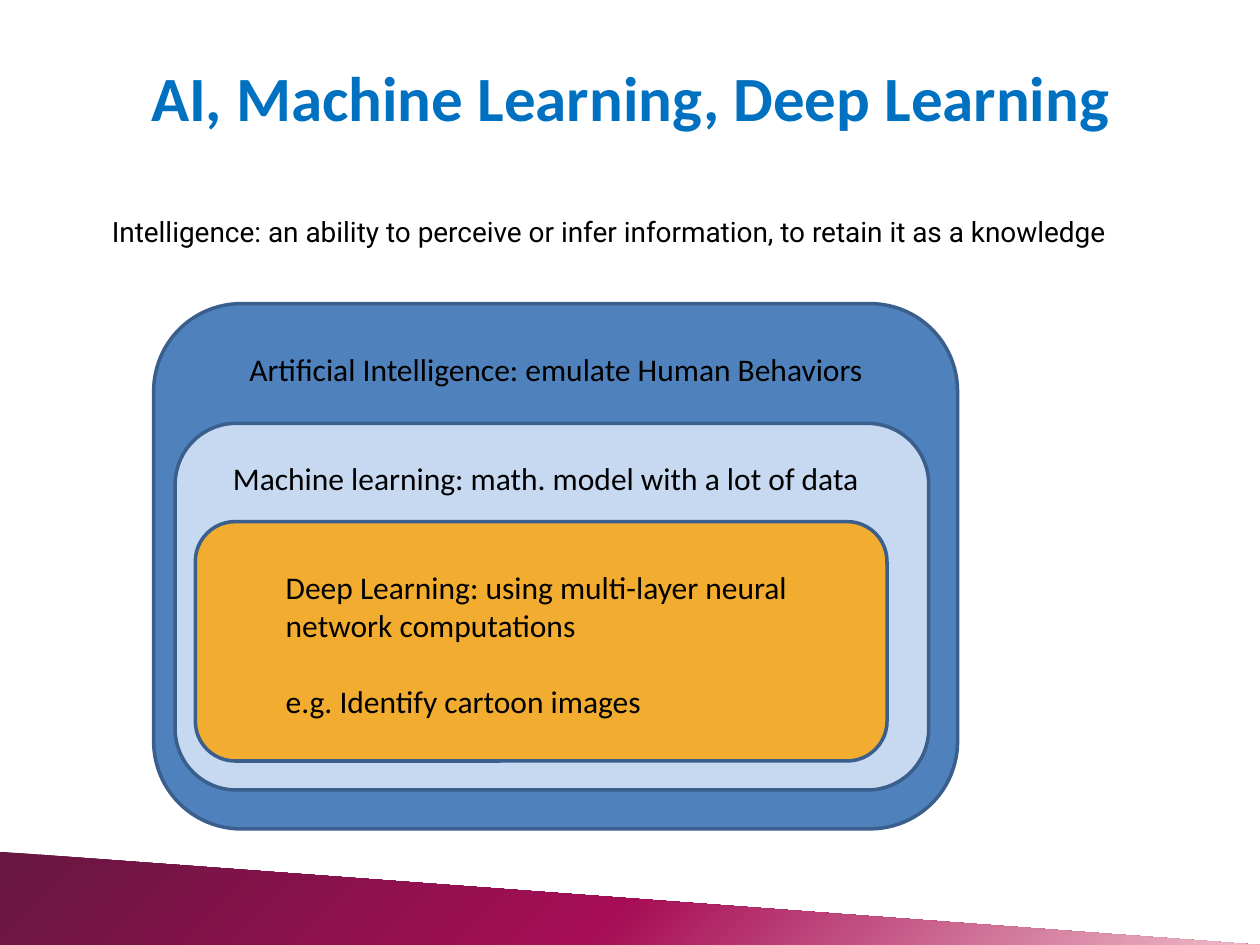
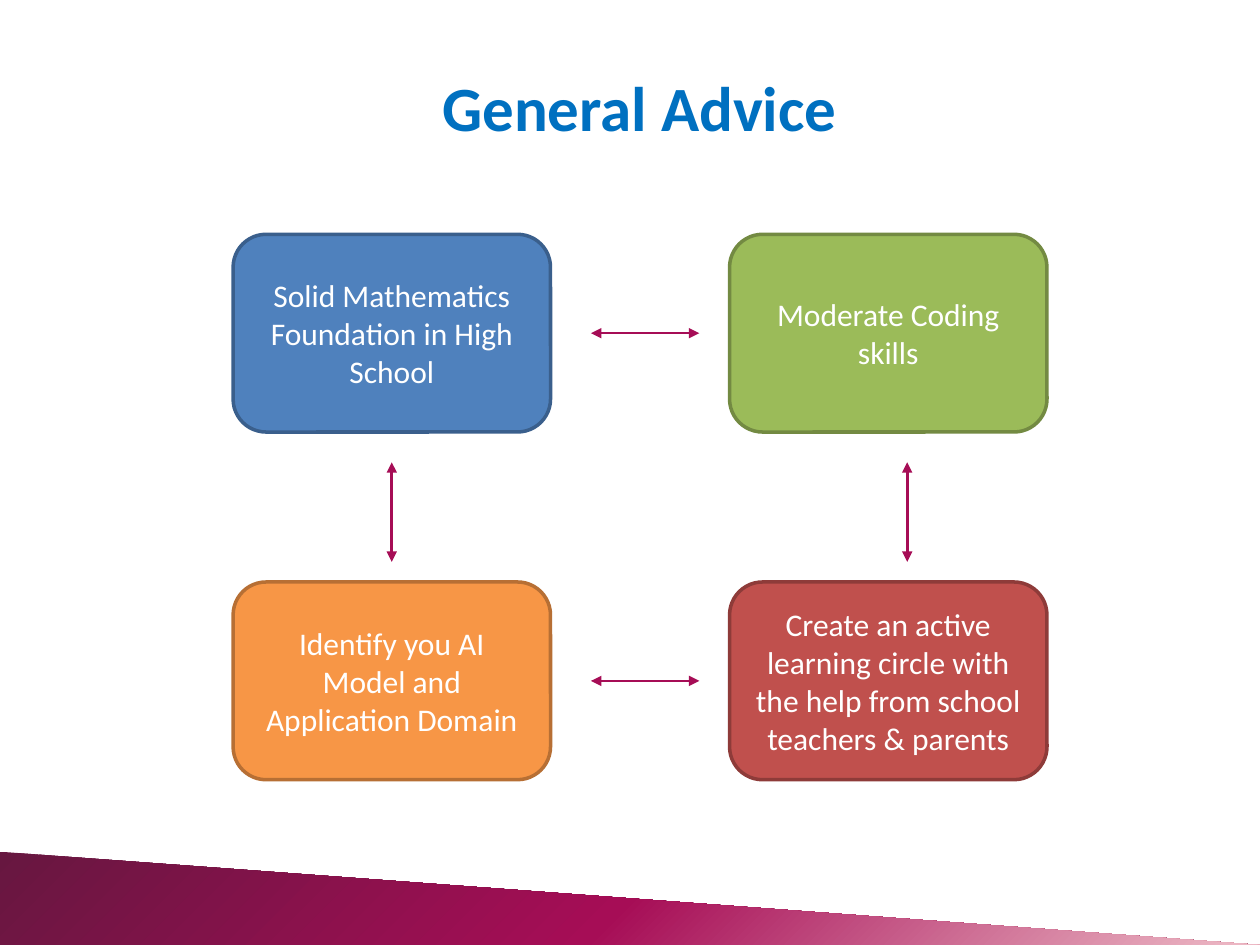
from copy import deepcopy

from lxml import etree
from pptx import Presentation
from pptx.dml.color import RGBColor
from pptx.enum.shapes import MSO_CONNECTOR, MSO_SHAPE
from pptx.enum.text import MSO_ANCHOR, PP_ALIGN
from pptx.oxml.ns import qn
from pptx.util import Pt

ROUND, WEDGE = MSO_SHAPE.ROUNDED_RECTANGLE, MSO_SHAPE.RIGHT_TRIANGLE
STRAIGHT = MSO_CONNECTOR.STRAIGHT
TOP, MIDDLE = MSO_ANCHOR.TOP, MSO_ANCHOR.MIDDLE
LEFT, CENTER = PP_ALIGN.LEFT, PP_ALIGN.CENTER
WIDE, HIGH = 720, 540
FONT = "Calibri"
BLACK, WHITE, TITLE = "000000", "FFFFFF", "0070C0"
BLUE, NAVY = "4F81BD", "3A5F8C"
BAND = ["671740", "A60D56", "EEBCC7"]


def paint(target, code):
    """Give a colour format its hex colour."""
    target.rgb = RGBColor.from_string(code)


def write(frame, lines, size=18, color=BLACK, font=FONT, bold=False,
          align=LEFT, anchor=TOP, gap=0):
    """Fill a text frame, one paragraph a line."""
    frame.word_wrap = True
    frame.vertical_anchor = anchor
    for i, line in enumerate(lines):
        para = frame.add_paragraph() if i else frame.paragraphs[0]
        para.alignment = align
        if i and gap:
            para.space_before = Pt(gap)
        run = para.add_run()
        run.text = line
        run.font.name, run.font.size, run.font.bold = font, Pt(size), bold
        paint(run.font.color, color)


def add_text(slide, area, lines, **style):
    """Add a text box and return its frame."""
    frame = slide.shapes.add_textbox(*map(Pt, area)).text_frame
    write(frame, lines, **style)
    return frame


def add_box(slide, area, fill, edge, lines=()):
    """Add an outlined rounded box with centred text."""
    box = slide.shapes.add_shape(ROUND, *map(Pt, area))
    box.shadow.inherit = False
    box.fill.solid()
    paint(box.fill.fore_color, fill)
    paint(box.line.color, edge)
    box.line.width = Pt(2)
    write(box.text_frame, lines, color=WHITE, align=CENTER, anchor=MIDDLE)


def add_arrow(slide, start, end):
    """Add a line with an arrowhead at both ends."""
    line = slide.shapes.add_connector(STRAIGHT, *map(Pt, (*start, *end)))
    paint(line.line.color, BAND[1])
    line.line.width = Pt(1.5)
    stroke = line.line._get_or_add_ln()
    for tag in ("a:headEnd", "a:tailEnd"):
        etree.SubElement(stroke, qn(tag)).set("type", "triangle")
    etree.SubElement(line._element.spPr, qn("a:effectLst"))


def add_band(slide):
    """Add the sloping gradient band at the foot."""
    band = slide.shapes.add_shape(WEDGE, *map(Pt, (0, 486.7, WIDE, 53.3)))
    band.shadow.inherit = False
    band.line.fill.background()
    band.fill.gradient()
    band.fill.gradient_angle = 315
    stops = band._element.spPr.find(".//" + qn("a:gsLst"))
    stops.insert(1, deepcopy(stops[0]))
    for i, (stop, code) in enumerate(zip(band.fill.gradient_stops, BAND)):
        stop.position = i / 2
        paint(stop.color, code)


def add_slide(deck, title, area):
    """Add a blank slide with the band and a title."""
    slide = deck.slides.add_slide(deck.slide_layouts[6])
    add_band(slide)
    add_text(slide, area, [title], size=36, color=TITLE, bold=True,
             align=CENTER, anchor=MIDDLE)
    return slide


def add_fields(deck):
    """Build the slide of nested fields of AI."""
    slide = add_slide(deck, "AI, Machine Learning, Deep Learning",
                      (76.3, 25.9, 568.1, 58.3))
    frame = add_text(slide, (48.2, 105.8, 647.3, 213.1),
                     ["Intelligence: an ability to perceive or infer "
                      "information, to retain it as a knowledge"],
                     size=16, font="Roboto")
    frame.margin_top = frame.margin_bottom = Pt(7.2)
    para = frame.paragraphs[0]
    para.line_spacing = 1.5
    para._p.get_or_add_pPr().set("marL", str(Pt(8.6)))

    for area, fill in [((87.8, 173.5, 459.4, 300.2), BLUE),
                       ((100.1, 241.9, 430.6, 209.5), "C6D9F1"),
                       ((111.6, 298.1, 395.3, 136.8), "F2AC30")]:
        add_box(slide, area, fill, NAVY)

    for area, lines in [
            ((135.4, 196.6, 372.2, 28.8),
             ["Artificial Intelligence: emulate Human Behaviors"]),
            ((126, 258.5, 383.8, 28.8),
             ["Machine learning: math. model with a lot of data"]),
            ((156.2, 321.1, 323.3, 94.3),
             ["Deep Learning: using multi-layer neural network computations",
              "e.g. Identify cartoon images"])]:
        add_text(slide, area, lines, gap=22)


def add_advice(deck):
    """Build the slide of four linked pieces of advice."""
    slide = add_slide(deck, "General Advice", (25.2, 31.7, 680.4, 58.3))
    left, top, width, height = 133.2, 133.9, 181.4, 113
    across, down = 283.7, 198.7
    tips = [
        (BLUE, NAVY, ["Solid Mathematics", "Foundation in High School"]),
        ("9BBB59", "738A42", ["Moderate Coding skills"]),
        ("F79646", "B76F34", ["Identify you AI Model and Application Domain"]),
        ("C0504D", "8E3B39", ["Create an active learning circle with the help "
                              "from school teachers & parents"])]
    for i, (fill, edge, lines) in enumerate(tips):
        row, col = divmod(i, 2)
        area = (left + col * across, top + row * down, width, height)
        add_box(slide, area, fill, edge, lines)
    for row in range(2):
        y = top + height / 2 + row * down
        add_arrow(slide, (337.7, y), (399.6, y))
    for x in (518.4, left + width / 2):
        add_arrow(slide, (x, 264.2), (x, 321.1))


def main():
    """Build and save the deck."""
    deck = Presentation()
    deck.slide_width, deck.slide_height = Pt(WIDE), Pt(HIGH)
    add_fields(deck)
    add_advice(deck)
    deck.save("out.pptx")


if __name__ == "__main__":
    main()
